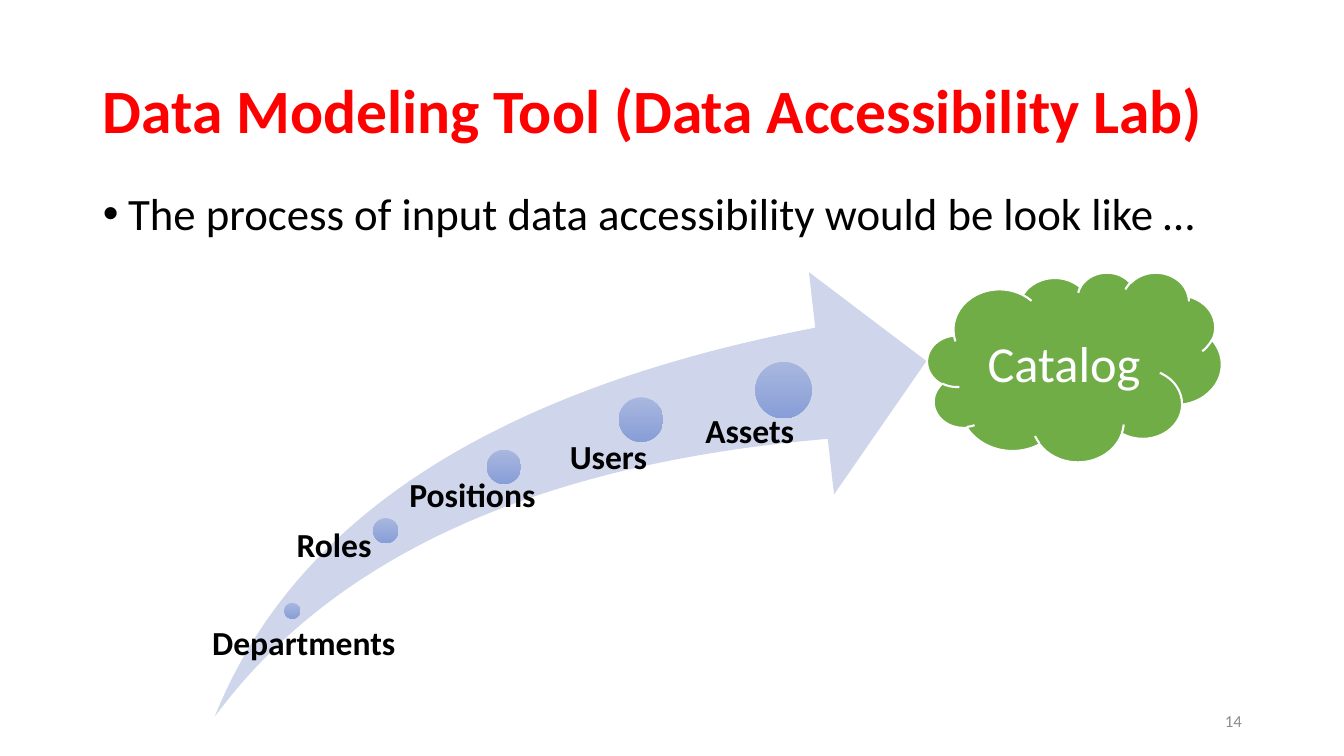
"""Build the data accessibility slide with its rising arrow of steps."""
import pptx
import pptx.util
import pptx.dml.color
import pptx.enum.shapes
import pptx.enum.text
import pptx.oxml.ns

WIDE, HIGH = pptx.util.Inches(13.333), pptx.util.Inches(7.5)
FONT = "Calibri"
HUES = {
    "title": "FF0000", "text": "000000", "number": "8C8C8C", "arrow": "CFD5EA",
    "top": "A8B7DF", "base": "889ED7", "cloud": "70AD47", "white": "FFFFFF",
}
STEPS = [
    ("Departments", (21.75, 80.8), 1.2, (15.15, 82.8, 18.68, 10)),
    ("Roles", (28.7, 70.2), 1.88, (21.08, 69.87, 23.7, 20.67)),
    ("Positions", (37.5, 61.75), 2.55, (29.1, 63.33, 27.53, 24.93)),
    ("Users", (47.7, 55.5), 3.3, (40.65, 58.27, 28.5, 29.6)),
    ("Assets", (58.3, 51.6), 4.2, (50.25, 54.8, 28.5, 23.6)),
]
SHAPE = pptx.enum.shapes.MSO_SHAPE
ALIGN = pptx.enum.text.PP_ALIGN
ANCHOR = pptx.enum.text.MSO_ANCHOR


def hue(name):
    """Return the named colour."""
    return pptx.dml.color.RGBColor.from_string(HUES[name])


def place(x, y, w, h):
    """Turn percent shares of the slide into lengths."""
    return [int(share * side / 100) for share, side in zip((x, y, w, h), (WIDE, HIGH) * 2)]


def move(shape, area):
    """Set the place and size of a shape."""
    shape.left, shape.top, shape.width, shape.height = place(*area)


def write(shape, text, size, tint, bold=False, align=ALIGN.LEFT, anchor=ANCHOR.TOP, space=0.9):
    """Fill a shape with one styled paragraph and return the paragraph."""
    frame = shape.text_frame
    frame.text = text
    frame.word_wrap = True
    frame.auto_size = pptx.enum.text.MSO_AUTO_SIZE.NONE
    frame.vertical_anchor = anchor
    line = frame.paragraphs[0]
    line.alignment, line.line_spacing = align, space
    font = line.runs[0].font
    font.name, font.size, font.bold = FONT, pptx.util.Pt(size), bold
    font.color.rgb = hue(tint)
    return line


def draw(shapes, kind, area):
    """Add a preset shape without shadow or outline."""
    shape = shapes.add_shape(kind, *place(*area))
    shape.shadow.inherit = False
    shape.line.fill.background()
    return shape


def paint(shape, tint):
    """Give a shape one solid colour."""
    shape.fill.solid()
    shape.fill.fore_color.rgb = hue(tint)


def bullet(line):
    """Set a round bullet with a hanging indent."""
    props = line._p.get_or_add_pPr()
    indent = pptx.util.Inches(0.25)
    props.set("marL", str(indent))
    props.set("indent", str(-indent))
    mark = props.makeelement(pptx.oxml.ns.qn("a:buChar"), {"char": "•"})
    props.append(mark)


def step(shapes, name, spot, size, area):
    """Add one dot on the arrow and its label."""
    tall = size * WIDE / HIGH
    dot = draw(shapes, SHAPE.OVAL, (spot[0] - size / 2, spot[1] - tall / 2, size, tall))
    dot.fill.gradient()
    dot.fill.gradient_angle = 270
    for stop, tint in zip(dot.fill.gradient_stops, ("top", "base")):
        stop.color.rgb = hue(tint)
    label = shapes.add_textbox(*place(*area))
    write(label, name, 24, "text", bold=True)
    frame = label.text_frame
    frame.margin_left = int(0.53 * dot.width)
    frame.margin_top = frame.margin_right = frame.margin_bottom = 0


def main():
    """Build and save the slide."""
    deck = pptx.Presentation()
    deck.slide_width, deck.slide_height = WIDE, HIGH
    slide = deck.slides.add_slide(deck.slide_layouts[1])
    title, body = slide.placeholders

    move(title, (6.9, 5.33, 86.25, 19.33))
    write(title, "Data Modeling Tool (Data Accessibility Lab)", 44, "title",
          bold=True, anchor=ANCHOR.MIDDLE)
    move(body, (6.9, 24.67, 86.25, 63.47))
    line = write(body, "The process of input data accessibility would be look like …", 32, "text")
    line.space_before = pptx.util.Pt(10)
    bullet(line)
    number = slide.shapes.add_textbox(*place(70.65, 92.67, 22.5, 5.33))
    write(number, "14", 12, "number", align=ALIGN.RIGHT, anchor=ANCHOR.MIDDLE, space=1)

    group = slide.shapes.add_group_shape()
    arrow = draw(group.shapes, SHAPE.SWOOSH_ARROW, (15.98, 36, 52.95, 58.8))
    arrow.adjustments[0] = arrow.adjustments[1] = 0.25
    paint(arrow, "arrow")
    for item in STEPS:
        step(group.shapes, *item)

    cloud = draw(slide.shapes, SHAPE.CLOUD, (69, 36, 21.9, 25.07))
    paint(cloud, "cloud")
    cloud.line.color.rgb = hue("white")
    cloud.line.width = pptx.util.Pt(1.5)
    write(cloud, "Catalog", 36, "white", align=ALIGN.CENTER, anchor=ANCHOR.MIDDLE, space=1)
    deck.save("out.pptx")


if __name__ == "__main__":
    main()
